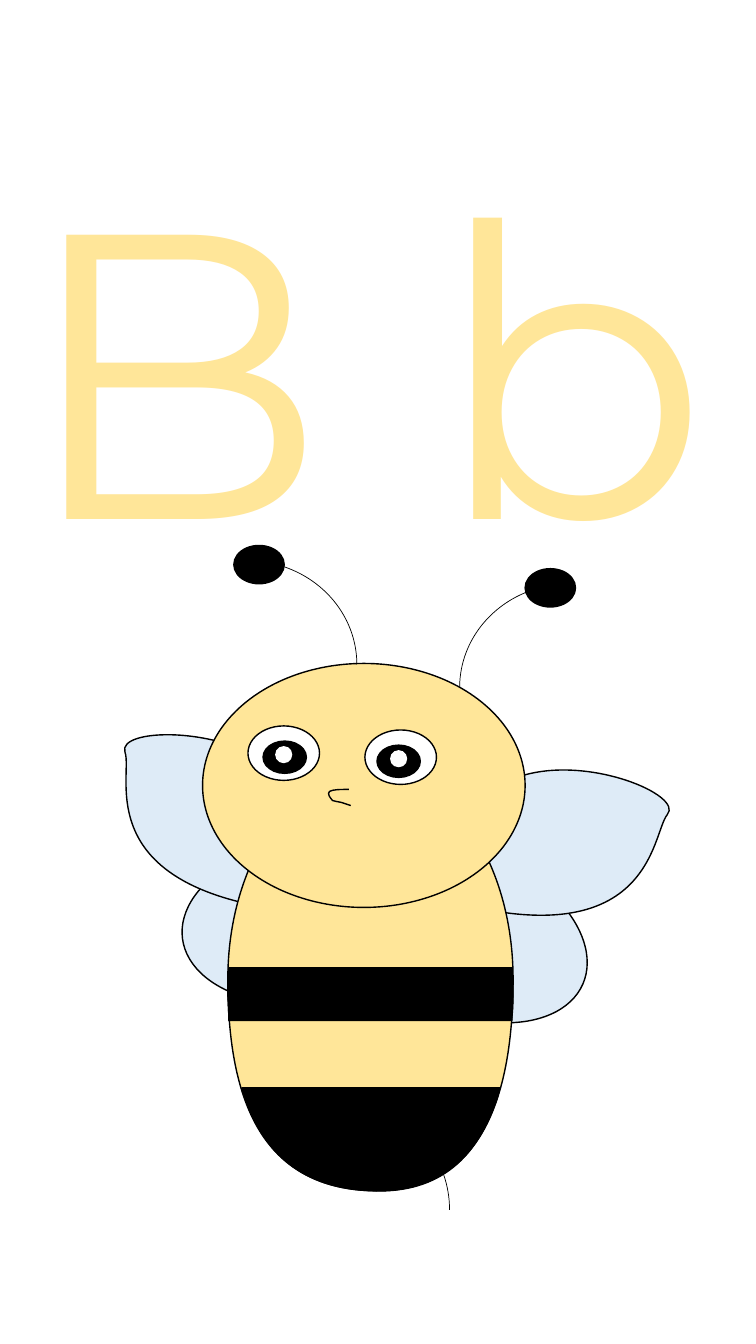
from math import cos, radians, sin

from lxml.etree import SubElement
from pptx import Presentation
from pptx.dml.color import RGBColor
from pptx.enum.shapes import MSO_SHAPE as Preset
from pptx.enum.text import MSO_AUTO_SIZE as AutoSize
from pptx.oxml.ns import qn
from pptx.util import Inches, Pt

YELLOW = RGBColor(0xFF, 0xE6, 0x99)
WING_BLUE = RGBColor(0xDE, 0xEB, 0xF7)
BLACK = RGBColor(0, 0, 0)
WHITE = RGBColor(255, 255, 255)

presentation = Presentation()
presentation.slide_width = Inches(7.5)
presentation.slide_height = Inches(13.33)
slide = presentation.slides.add_slide(presentation.slide_layouts[6])

# Letters
letters = slide.shapes.add_textbox(Inches(0.11), Inches(1.08), Inches(7.93), Inches(4.98))
letters.text_frame.word_wrap = True
letters.text_frame.auto_size = AutoSize.SHAPE_TO_FIT_TEXT
run = letters.text_frame.paragraphs[0].add_run()
run.text = "B b"
run.font.name = "Montserrat"
run.font.size = Pt(290)
run.font.color.rgb = YELLOW

bee = slide.shapes.add_group_shape()


def add_curved_outline(frame, rotation, steps, closed):
    """Draw steps of one point (line) or three (Bezier curve), given as they lie on the slide."""
    left, top, width, height = frame
    builder = bee.shapes.build_freeform(Inches(left), Inches(top))
    builder.add_line_segments([(Inches(left + width), Inches(top + height))], close=False)
    shape = builder.convert_to_shape()
    outline = next(shape.element.iter(qn("a:path")))
    for child in list(outline):
        outline.remove(child)
    cosine, sine = cos(radians(rotation)), sin(radians(rotation))
    for index, step in enumerate(steps):
        tag = "a:moveTo" if index == 0 else "a:lnTo" if len(step) == 1 else "a:cubicBezTo"
        command = SubElement(outline, qn(tag))
        for x, y in step:
            dx, dy = x - left - width / 2, y - top - height / 2
            local_x = dx * cosine + dy * sine + width / 2
            local_y = dy * cosine - dx * sine + height / 2
            SubElement(command, qn("a:pt"), x=str(int(Inches(local_x))), y=str(int(Inches(local_y))))
    if closed:
        SubElement(outline, qn("a:close"))
    return shape


left_wing = [[(3.25, 9.07)],
             [(0.82, 8.92), (1.33, 7.7), (1.24, 7.46)],
             [(1.16, 7.22), (2.2, 7.19), (2.75, 7.63)],
             [(3.3, 8.08), (5.67, 9.21), (3.25, 9.07)]]
right_wing = [[(4.17, 8.85)],
              [(6.48, 9.6), (6.46, 8.27), (6.62, 8.08)],
              [(6.79, 7.89), (5.83, 7.48), (5.16, 7.7)],
              [(4.48, 7.91), (1.86, 8.1), (4.17, 8.85)]]
body = [[(3.68, 11.81)],
        [(4.78, 11.85), (5.09, 10.87), (5.09, 9.71)],
        [(5.09, 8.56), (4.46, 7.62), (3.68, 7.62)],
        [(2.9, 7.62), (2.26, 8.56), (2.26, 9.71)],
        [(2.26, 10.87), (2.57, 11.77), (3.68, 11.81)]]
tail_stripe = [[(4.96, 10.79)], [(2.4, 10.79)], [(2.43, 10.88)],
               [(2.61, 11.43), (3, 11.79), (3.69, 11.81)],
               [(4.38, 11.84), (4.74, 11.46), (4.93, 10.9)],
               [(4.96, 10.79)]]
middle_stripe = [[(5.08, 9.6)], [(2.27, 9.6)], [(2.26, 9.81)],
                 [(2.26, 9.9), (2.27, 9.99), (2.27, 10.08)],
                 [(2.27, 10.12)], [(5.08, 10.12)], [(5.08, 10.08)],
                 [(5.09, 9.99), (5.09, 9.9), (5.09, 9.81)],
                 [(5.08, 9.6)]]
mouth = [[(3.46, 7.83)],
         [(3.38, 7.83), (3.3, 7.83), (3.27, 7.85)],
         [(3.24, 7.87), (3.28, 7.92), (3.3, 7.94)],
         [(3.32, 7.95), (3.35, 7.95), (3.39, 7.96)],
         [(3.42, 7.97), (3.48, 7.99), (3.48, 7.99)],
         [(3.48, 7.99)]]

# Preset or outline, frame, fill, line width, rotation; back to front
parts = [
    # Wings
    (Preset.OVAL, (1.8, 8.34, 2.57, 1.61), WING_BLUE, 1, 352.6),
    (left_wing, (0.93, 7.58, 3.34, 1.59), WING_BLUE, 1, 38.8),
    (Preset.OVAL, (3.32, 8.44, 2.57, 1.61), WING_BLUE, 1, 23.7),
    (right_wing, (3.35, 7.64, 3.34, 1.59), WING_BLUE, 1, 342.5),
    # Sting, body and head
    (Preset.ARC, (2.27, 10.92, 2.19, 2.16), None, 0.5, 0),
    (body, (1.58, 8.3, 4.2, 2.83), YELLOW, 1, 90),
    (Preset.OVAL, (2.01, 6.58, 3.2, 2.42), YELLOW, 1, 0),
    # Antennae
    (Preset.ARC, (1.35, 5.56, 2.19, 2.06), None, 0.5, 0),
    (Preset.ARC, (4.56, 5.79, 2.19, 2.06), None, 0.5, 0),
    (Preset.OVAL, (2.32, 5.41, 0.5, 0.38), BLACK, 1, 0),
    (Preset.OVAL, (5.21, 5.64, 0.5, 0.38), BLACK, 1, 0),
    # Eyes: whites, then each pupil with its glint
    (Preset.OVAL, (2.46, 7.2, 0.71, 0.54), WHITE, 1, 0),
    (Preset.OVAL, (3.62, 7.24, 0.71, 0.54), WHITE, 1, 0),
    (Preset.OVAL, (3.74, 7.39, 0.43, 0.32), BLACK, 1, 0),
    (Preset.OVAL, (3.87, 7.44, 0.17, 0.17), WHITE, 0, 0),
    (Preset.OVAL, (2.61, 7.35, 0.43, 0.32), BLACK, 1, 0),
    (Preset.OVAL, (2.73, 7.4, 0.17, 0.17), WHITE, 0, 0),
    # Stripes and mouth
    (tail_stripe, (2.4, 10.79, 2.56, 1.02), BLACK, 1, 0),
    (middle_stripe, (2.26, 9.6, 2.83, 0.52), BLACK, 1, 0),
    (mouth, (3.26, 7.83, 0.22, 0.17), None, 1, 0),
]

for form, frame, fill, line_width, rotation in parts:
    if isinstance(form, list):
        shape = add_curved_outline(frame, rotation, form, closed=fill is not None)
    else:
        shape = bee.shapes.add_shape(form, *map(Inches, frame))
    shape.rotation = rotation
    shape.shadow.inherit = False
    if fill is None:
        shape.fill.background()
    else:
        shape.fill.solid()
        shape.fill.fore_color.rgb = fill
    if line_width:
        shape.line.color.rgb = BLACK
        shape.line.width = Pt(line_width)
    else:
        shape.line.fill.background()
    # The right antenna bends the other way
    if form == Preset.ARC and frame[0] > 4:
        shape.element.spPr.xfrm.set("flipH", "1")

presentation.save("out.pptx")
